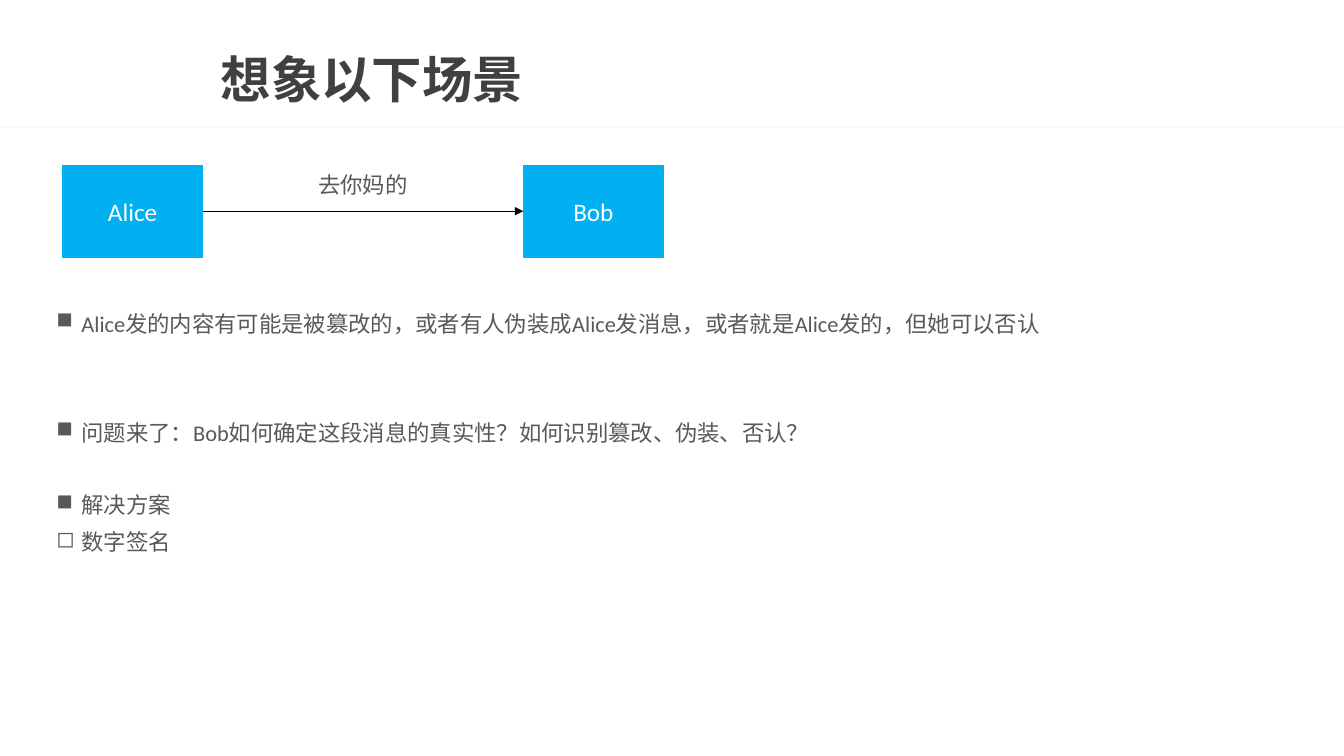
from lxml.etree import SubElement
from pptx import Presentation
from pptx.dml.color import RGBColor
from pptx.enum.shapes import MSO_CONNECTOR as Connector, MSO_SHAPE as Shape
from pptx.enum.text import MSO_ANCHOR as Anchor, PP_ALIGN as Align
from pptx.oxml.ns import qn
from pptx.util import Inches, Pt

WHITE = RGBColor(0xFF, 0xFF, 0xFF)
BLACK = RGBColor(0x00, 0x00, 0x00)
BLUE = RGBColor(0x00, 0xB0, 0xF0)
RULE_GRAY = RGBColor(0xEA, 0xEA, 0xEA)
TITLE_GRAY = RGBColor(0x40, 0x40, 0x40)
TEXT_GRAY = RGBColor(0x59, 0x59, 0x59)
LATIN_FONT = "Calibri"
CHINESE_FONT = "Noto Sans CJK SC"


def add_run(paragraph, text, size, color, bold=False):
    run = paragraph.add_run()
    run.text = text
    run.font.size = Pt(size)
    run.font.bold = bold
    run.font.color.rgb = color
    run.font.name = LATIN_FONT
    SubElement(run.font._element, qn("a:ea"), typeface=CHINESE_FONT)


def add_text_box(slide, left, top, width, height, anchor=Anchor.TOP):
    box = slide.shapes.add_textbox(Inches(left), Inches(top), Inches(width), Inches(height))
    frame = box.text_frame
    frame.word_wrap = True
    frame.vertical_anchor = anchor
    return frame


def add_rectangle(slide, left, top, width, height, color):
    shape = slide.shapes.add_shape(
        Shape.RECTANGLE, Inches(left), Inches(top), Inches(width), Inches(height))
    shape.shadow.inherit = False
    shape.fill.solid()
    shape.fill.fore_color.rgb = color
    return shape


def add_title_rule(slide):
    rule = add_rectangle(slide, 0, 1.25, 13.33, 0.02, RULE_GRAY)
    rule.line.fill.background()
    color = rule._element.spPr.find(qn("a:solidFill")).find(qn("a:srgbClr"))
    SubElement(color, qn("a:alpha"), val="32000")


def add_person(slide, name, left):
    box = add_rectangle(slide, left, 1.64, 1.39, 0.91, BLUE)
    box.line.color.rgb = BLUE
    box.line.width = Pt(1)
    box.text_frame.vertical_anchor = Anchor.MIDDLE
    paragraph = box.text_frame.paragraphs[0]
    paragraph.alignment = Align.CENTER
    add_run(paragraph, name, 18, WHITE)
    return box


def add_arrow(slide, sender, receiver):
    arrow = slide.shapes.add_connector(Connector.STRAIGHT, 0, 0, 0, 0)
    arrow.begin_connect(sender, 3)
    arrow.end_connect(receiver, 1)
    arrow.line.color.rgb = BLACK
    arrow.line.width = Pt(0.5)
    SubElement(arrow.line._get_or_add_ln(), qn("a:tailEnd"), type="triangle")
    SubElement(arrow._element.spPr, qn("a:effectLst"))


def add_bullets(slide, top, height, items):
    """Each item holds the bullet sign, the text and the space before in points."""
    frame = add_text_box(slide, 0.46, top, 11.31, height)
    for index, (sign, text, space) in enumerate(items):
        paragraph = frame.add_paragraph() if index else frame.paragraphs[0]
        properties = paragraph._p.get_or_add_pPr()
        properties.set("marL", str(Inches(0.25)))
        properties.set("indent", str(Inches(-0.25)))
        SubElement(properties, qn("a:buChar"), char=sign)
        paragraph.line_spacing = Pt(16)
        paragraph.space_before = Pt(space)
        add_run(paragraph, text, 16, TEXT_GRAY)


def main():
    presentation = Presentation()
    presentation.slide_width = Inches(13.33)
    presentation.slide_height = Inches(7.5)
    slide = presentation.slides.add_slide(presentation.slide_layouts[6])

    # Title
    add_title_rule(slide)
    title = add_text_box(slide, 2.09, 0.43, 11.03, 0.78, Anchor.MIDDLE).paragraphs[0]
    title.line_spacing = 0.9
    add_run(title, "想象以下场景", 36, TITLE_GRAY, bold=True)

    # Message from Alice to Bob
    alice = add_person(slide, "Alice", 0.62)
    bob = add_person(slide, "Bob", 5.19)
    add_arrow(slide, alice, bob)
    message = add_text_box(slide, 2.77, 1.64, 1.66, 0.43, Anchor.MIDDLE).paragraphs[0]
    message.alignment = Align.CENTER
    message.line_spacing = Pt(16)
    add_run(message, "去你妈的", 16, TEXT_GRAY)

    # Problem, question and solution
    add_bullets(slide, 3.07, 0.43, [
        ("■", "Alice发的内容有可能是被篡改的，或者有人伪装成Alice发消息，"
              "或者就是Alice发的，但她可以否认", 0),
    ])
    add_bullets(slide, 4.15, 1.82, [
        ("■", "问题来了：Bob如何确定这段消息的真实性？如何识别篡改、伪装、否认？", 0),
        ("■", "解决方案", 36),
        ("◻", "数字签名", 10),
    ])

    presentation.save("out.pptx")


if __name__ == "__main__":
    main()
